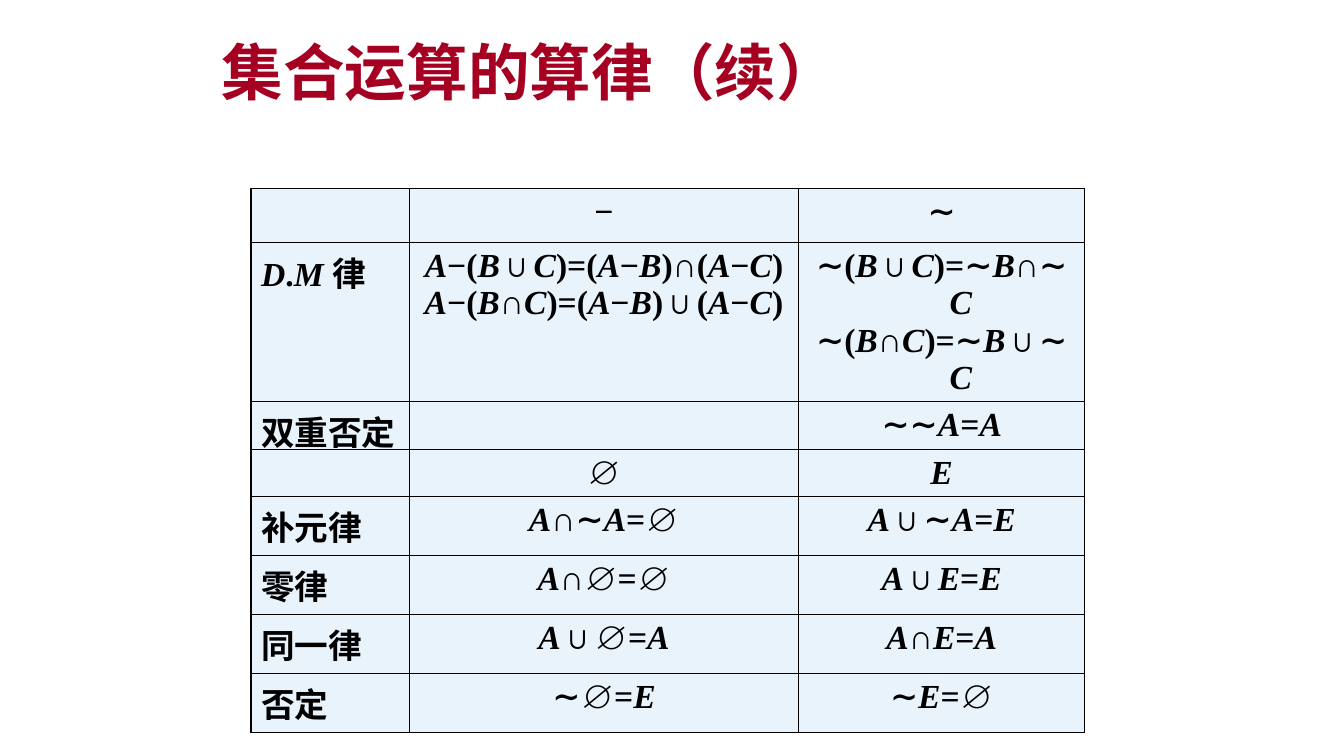
from dataclasses import dataclass
from itertools import groupby

from lxml.etree import SubElement
from pptx import Presentation
from pptx.dml.color import RGBColor
from pptx.enum.text import MSO_ANCHOR, PP_ALIGN
from pptx.oxml.ns import qn
from pptx.slide import Slide
from pptx.table import _Cell
from pptx.text.text import _Paragraph
from pptx.util import Inches, Length, Pt

COLORS = {"title": "A50021", "text": "000000", "cell": "E8F3FC", "border": "000000"}
CHINESE_FONT = "Noto Sans CJK SC"
FORMULA_FONT = "Times New Roman"
SLIDE_WIDTH, SLIDE_HEIGHT = Inches(13.33), Inches(7.5)
HANGING_INDENT = Inches(0.38)
TABLE_LEFT = 18.68
COLUMN_SHARES = (11.78, 28.96, 21.3)


@dataclass(frozen=True)
class LawTable:
    top: float
    row_shares: tuple[float, ...]
    rows: tuple[tuple[str, str, str], ...]


LAW_TABLES = (
    LawTable(24.93, (7.2, 12.8, 7.2), (
        ("", "−", "∼"),
        ("D.M 律",
         "A−(B∪C)=(A−B)∩(A−C)\nA−(B∩C)=(A−B)∪(A−C)",
         "∼(B∪C)=∼B∩∼C\n∼(B∩C)=∼B∪∼C"),
        ("双重否定", "", "∼∼A=A"),
    )),
    LawTable(59.47, (2.93, 4.93, 6.27, 6.27, 5.2), (
        ("", "∅", "E"),
        ("补元律", "A∩∼A=∅", "A∪∼A=E"),
        ("零律", "A∩∅=∅", "A∪E=E"),
        ("同一律", "A∪∅=A", "A∩E=A"),
        ("否定", "∼∅=E", "∼E=∅"),
    )),
)


def across(percent: float) -> Length:
    return Length(round(SLIDE_WIDTH * percent / 100))


def down(percent: float) -> Length:
    return Length(round(SLIDE_HEIGHT * percent / 100))


def character_kind(character: str) -> str:
    if not character.isalpha():
        return "symbol"
    return "variable" if character.isascii() else "chinese"


def set_font(paragraph: _Paragraph, name: str, size: int, color: str) -> None:
    paragraph.font.name = name
    paragraph.font.size = Pt(size)
    paragraph.font.bold = True
    paragraph.font.color.rgb = RGBColor.from_string(COLORS[color])


def add_runs(paragraph: _Paragraph, text: str) -> None:
    for kind, characters in groupby(text, character_kind):
        run = paragraph.add_run()
        run.text = "".join(characters)
        if kind == "variable":
            run.font.italic = True
        elif kind == "chinese":
            properties = run._r.get_or_add_rPr()
            SubElement(properties, qn("a:ea"), typeface=CHINESE_FONT)


def add_borders(cell: _Cell) -> None:
    properties = cell._tc.get_or_add_tcPr()
    for side in ("lnL", "lnR", "lnT", "lnB"):
        border = SubElement(properties, qn(f"a:{side}"), w=str(Pt(1)))
        fill = SubElement(border, qn("a:solidFill"))
        SubElement(fill, qn("a:srgbClr"), val=COLORS["border"])


def fill_cell(cell: _Cell, text: str, alignment: PP_ALIGN) -> None:
    add_borders(cell)
    cell.fill.solid()
    cell.fill.fore_color.rgb = RGBColor.from_string(COLORS["cell"])
    frame = cell.text_frame
    for index, line in enumerate(text.split("\n")):
        paragraph = frame.add_paragraph() if index else frame.paragraphs[0]
        paragraph.alignment = alignment
        properties = paragraph._p.get_or_add_pPr()
        properties.set("marL", str(HANGING_INDENT))
        properties.set("indent", str(-HANGING_INDENT))
        set_font(paragraph, FORMULA_FONT, 24, "text")
        add_runs(paragraph, line)


def add_law_table(slide: Slide, laws: LawTable) -> None:
    table = slide.shapes.add_table(
        len(laws.rows), len(COLUMN_SHARES), across(TABLE_LEFT), down(laws.top),
        across(sum(COLUMN_SHARES)), down(sum(laws.row_shares))).table
    table.first_row = False
    table.horz_banding = False
    for column, share in zip(table.columns, COLUMN_SHARES):
        column.width = across(share)
    for row, share, texts in zip(table.rows, laws.row_shares, laws.rows):
        row.height = down(share)
        for index, (cell, text) in enumerate(zip(row.cells, texts)):
            fill_cell(cell, text, PP_ALIGN.CENTER if index else PP_ALIGN.LEFT)


def add_title(slide: Slide, text: str) -> None:
    title = slide.shapes.title
    title.left, title.top = across(15.75), down(0)
    title.width, title.height = across(67.5), down(20)
    title.text_frame.vertical_anchor = MSO_ANCHOR.MIDDLE
    paragraph = title.text_frame.paragraphs[0]
    paragraph.alignment = PP_ALIGN.LEFT
    paragraph.line_spacing = 0.9
    set_font(paragraph, CHINESE_FONT, 44, "title")
    add_runs(paragraph, text)


def main() -> None:
    presentation = Presentation()
    presentation.slide_width = SLIDE_WIDTH
    presentation.slide_height = SLIDE_HEIGHT
    slide = presentation.slides.add_slide(presentation.slide_layouts[5])
    add_title(slide, "集合运算的算律（续）")
    for laws in LAW_TABLES:
        add_law_table(slide, laws)
    presentation.save("out.pptx")


if __name__ == "__main__":
    main()
